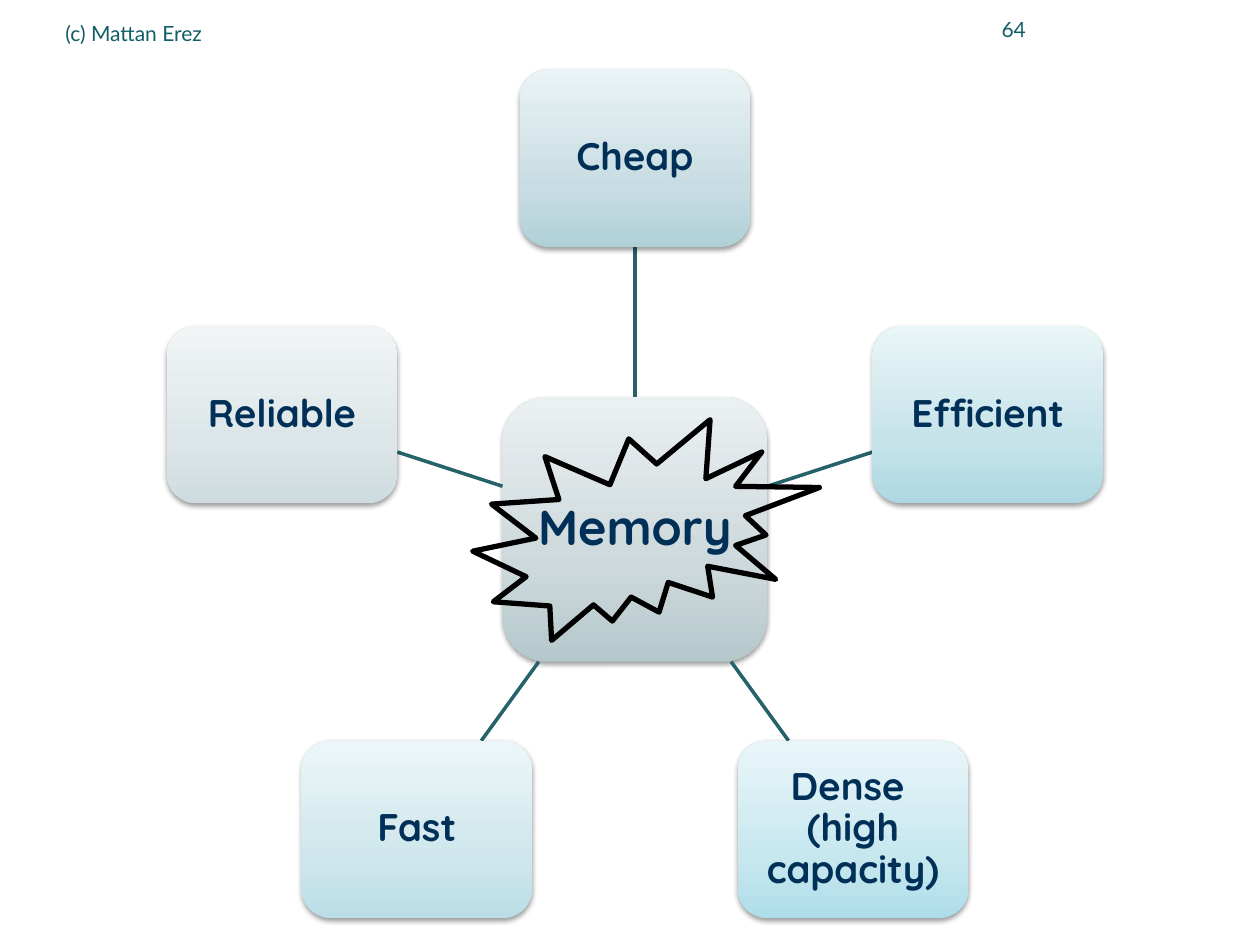
"""Build a slide of five memory goals around a hub."""
from copy import deepcopy
from math import cos, radians, sin

from lxml.etree import fromstring
from pptx import Presentation
from pptx.dml.color import RGBColor
from pptx.enum.shapes import MSO_CONNECTOR, MSO_SHAPE
from pptx.enum.text import MSO_ANCHOR, PP_ALIGN
from pptx.util import Cm, Pt

NAVY = RGBColor(0x00, 0x30, 0x57)
TEAL = RGBColor(0x25, 0x62, 0x6A)
NOTE = RGBColor(0x11, 0x5E, 0x67)
BLACK = RGBColor(0, 0, 0)

HUB = ("Memory", "B5C8CC CCD8DB EBF0F2")
GOALS = [
    ("Cheap", "B0D0D8 C8DDE3 EAF3F5"),
    ("Efficient", "ADD8E2 C6E3EA E9F5F7"),
    ("Dense \v(high capacity)", "AEDEE9 C7E7EF E9F6F9"),
    ("Fast", "BBDEE6 CFE7EC ECF6F8"),
    ("Reliable", "CFDCDF DCE6E8 F1F5F6"),
]
NOTES = [
    ("(c) Mattan Erez", 1.07, 0.08, 14.4, 1.17, PP_ALIGN.LEFT),
    ("64", 18.62, -0.05, 2.31, 1.27, PP_ALIGN.RIGHT),
]
STOPS = (0, 0.35, 1)
MID_X, MID_Y, RADIUS = 12.8, 10.67, 7.48
HUB_SIZE = (5.34, 5.34)
GOAL_SIZE = (4.65, 3.58)

NS = "http://schemas.openxmlformats.org/drawingml/2006/main"
SHADE = (f'<a:effectLst xmlns:a="{NS}"><a:outerShdw blurRad="39370" dist="20320" '
         'dir="5400000" rotWithShape="0"><a:srgbClr val="000000">'
         '<a:alpha val="38000"/></a:srgbClr></a:outerShdw></a:effectLst>')
PLAIN = f'<a:effectLst xmlns:a="{NS}"/>'


def set_text(shape, text, size, font, color, align):
    frame = shape.text_frame
    frame.word_wrap = True
    frame.vertical_anchor = MSO_ANCHOR.MIDDLE
    frame.text = text
    para = frame.paragraphs[0]
    para.alignment = align
    para.font.size, para.font.name = Pt(size), font
    para.font.color.rgb = color
    return frame, para


def add_box(label, tones, x, y, size, points, inset):
    wide, high = size
    box = slide.shapes.add_shape(MSO_SHAPE.ROUNDED_RECTANGLE, Cm(x - wide / 2),
                                 Cm(y - high / 2), Cm(wide), Cm(high))
    box.fill.gradient()
    box.fill.gradient_angle = 90
    last = box._element.spPr.findall(f".//{{{NS}}}gs")[-1]
    last.addnext(deepcopy(last))
    for stop, spot, tone in zip(box.fill.gradient_stops, STOPS, tones.split()):
        stop.position = spot
        stop.color.rgb = RGBColor.from_string(tone)
    box.line.fill.background()
    box._element.spPr.append(fromstring(SHADE))
    frame, para = set_text(box, label, points, "Quicksand", NAVY, PP_ALIGN.CENTER)
    frame.margin_left = frame.margin_right = Cm(inset)
    frame.margin_top = frame.margin_bottom = Cm(inset)
    para.font.bold = True
    para.line_spacing = 0.9


def reach(size, dx, dy):
    return min(half / 2 / abs(step) for half, step in zip(size, (dx, dy))
               if abs(step) > 0.01)


def add_spoke(dx, dy):
    near = reach(HUB_SIZE, dx, dy)
    far = RADIUS - reach(GOAL_SIZE, dx, dy)
    ends = [Cm(mid + gap * step) for gap in (near, far)
            for mid, step in ((MID_X, dx), (MID_Y, dy))]
    spoke = slide.shapes.add_connector(MSO_CONNECTOR.STRAIGHT, *ends)
    spoke.line.color.rgb = TEAL
    spoke.line.width = Pt(2)
    spoke._element.spPr.append(fromstring(PLAIN))


deck = Presentation()
deck.slide_width, deck.slide_height = Cm(25.4), Cm(19.05)
slide = deck.slides.add_slide(deck.slide_layouts[6])

add_box(*HUB, MID_X, MID_Y, HUB_SIZE, 28, 0.2)
for rank, (label, tones) in enumerate(GOALS):
    turn = radians(rank * 360 / len(GOALS) - 90)
    dx, dy = cos(turn), sin(turn)
    add_spoke(dx, dy)
    add_box(label, tones, MID_X + RADIUS * dx, MID_Y + RADIUS * dy,
            GOAL_SIZE, 22, 0.15)

burst = slide.shapes.add_shape(MSO_SHAPE.EXPLOSION2, Cm(9.53), Cm(8.46),
                               Cm(6.99), Cm(4.45))
burst.shadow.inherit = False
burst.fill.background()
burst.line.color.rgb = BLACK
burst.line.width = Pt(3)

for text, left, top, wide, high, align in NOTES:
    note = slide.shapes.add_textbox(Cm(left), Cm(top), Cm(wide), Cm(high))
    set_text(note, text, 12, "Lato", NOTE, align)

deck.save("out.pptx")
